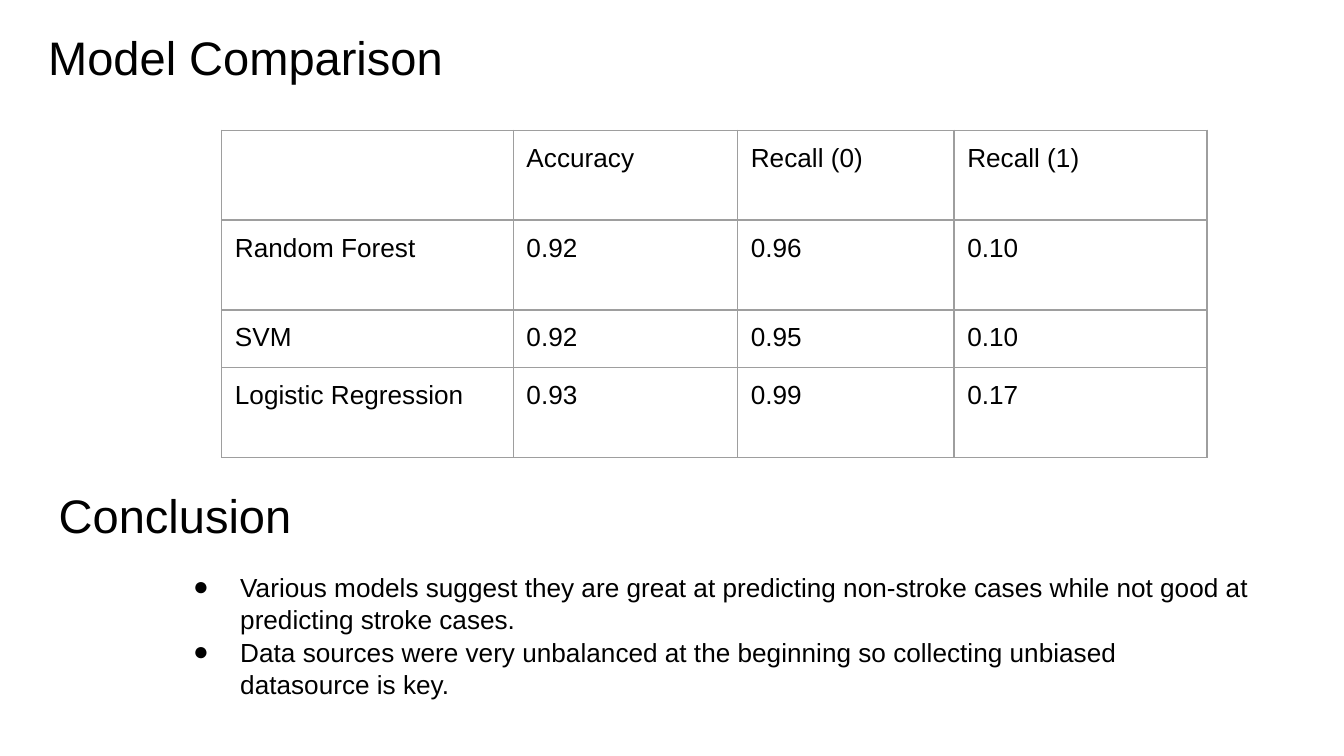
from lxml.etree import SubElement
from pptx import Presentation
from pptx.dml.color import RGBColor
from pptx.enum.text import MSO_ANCHOR as Anchor, MSO_AUTO_SIZE as AutoSize, PP_ALIGN as Align
from pptx.oxml.ns import qn
from pptx.util import Cm, Pt

BLACK = RGBColor(0x00, 0x00, 0x00)
BORDER_GREY = RGBColor(0x9E, 0x9E, 0x9E)
FONT = "Arial"
INSET = Cm(0.25)

COLUMN_WIDTHS = [Cm(5.51), Cm(4.24), Cm(4.09), Cm(4.78)]
ROW_HEIGHTS = [Cm(1.7), Cm(1.7), Cm(1.09), Cm(1.7)]
SCORES = [
    ["", "Accuracy", "Recall (0)", "Recall (1)"],
    ["Random Forest", "0.92", "0.96", "0.10"],
    ["SVM", "0.92", "0.95", "0.10"],
    ["Logistic Regression", "0.93", "0.99", "0.17"],
]
CONCLUSIONS = [
    "Various models suggest they are great at predicting non-stroke cases "
    "while not good at predicting stroke cases.",
    "Data sources were very unbalanced at the beginning so collecting "
    "unbiased datasource is key.",
]


def format_text(text_frame, size):
    for paragraph in text_frame.paragraphs:
        paragraph.alignment = Align.LEFT
        for run in paragraph.runs:
            run.font.name = FONT
            run.font.size = Pt(size)
            run.font.color.rgb = BLACK


def set_insets(item):
    item.margin_left = item.margin_right = INSET
    item.margin_top = item.margin_bottom = INSET


def place(shape, box):
    shape.left, shape.top, shape.width, shape.height = box


def add_heading(shape, box, text):
    place(shape, box)
    text_frame = shape.text_frame
    text_frame.text = text
    text_frame.word_wrap = True
    text_frame.auto_size = AutoSize.NONE
    text_frame.vertical_anchor = Anchor.BOTTOM
    set_insets(text_frame)
    format_text(text_frame, 25.2)


def set_borders(cell):
    properties = cell._tc.get_or_add_tcPr()
    for position, side in enumerate(("a:lnL", "a:lnR", "a:lnT", "a:lnB")):
        line = properties.makeelement(qn(side), {"w": str(Pt(0.75))})
        fill = SubElement(line, qn("a:solidFill"))
        SubElement(fill, qn("a:srgbClr"), val=str(BORDER_GREY))
        properties.insert(position, line)


def add_score_table(slide, left, top):
    table = slide.shapes.add_table(
        len(SCORES), len(COLUMN_WIDTHS), left, top,
        sum(COLUMN_WIDTHS), sum(ROW_HEIGHTS)).table
    table.first_row = table.horz_banding = False
    for column, width in zip(table.columns, COLUMN_WIDTHS):
        column.width = width
    for row, height, values in zip(table.rows, ROW_HEIGHTS, SCORES):
        row.height = height
        for cell, value in zip(row.cells, values):
            cell.text = value
            cell.vertical_anchor = Anchor.TOP
            cell.fill.background()
            set_insets(cell)
            format_text(cell.text_frame, 14)
            set_borders(cell)


def set_bullet(paragraph):
    properties = paragraph._p.get_or_add_pPr()
    properties.set("marL", str(Cm(1.27)))
    properties.set("indent", str(-Cm(0.89)))
    color = SubElement(properties, qn("a:buClr"))
    SubElement(color, qn("a:srgbClr"), val=str(BLACK))
    SubElement(properties, qn("a:buFont"), typeface=FONT)
    SubElement(properties, qn("a:buChar"), char="●")


def add_bullet_list(shape, box, lines):
    place(shape, box)
    text_frame = shape.text_frame
    text_frame.text = "\n".join(lines)
    text_frame.word_wrap = True
    text_frame.auto_size = AutoSize.NONE
    text_frame.vertical_anchor = Anchor.TOP
    set_insets(text_frame)
    format_text(text_frame, 14)
    for paragraph in text_frame.paragraphs:
        paragraph.space_before = paragraph.space_after = Pt(0)
        paragraph.line_spacing = 1.04
        set_bullet(paragraph)


def main():
    presentation = Presentation()
    presentation.slide_width = Cm(25.4)
    presentation.slide_height = Cm(14.29)
    slide = presentation.slides.add_slide(presentation.slide_layouts[1])

    add_heading(slide.shapes.title,
                (Cm(0.66), Cm(0.25), Cm(23.67), Cm(1.6)), "Model Comparison")
    add_score_table(slide, Cm(4.19), Cm(2.46))
    conclusion_box = (Cm(0.86), Cm(8.92), Cm(23.67), Cm(1.6))
    add_heading(slide.shapes.add_textbox(*conclusion_box), conclusion_box, "Conclusion")
    add_bullet_list(slide.placeholders[1],
                    (Cm(3.02), Cm(10.52), Cm(20.9), Cm(2.9)), CONCLUSIONS)
    presentation.save("out.pptx")


if __name__ == "__main__":
    main()
